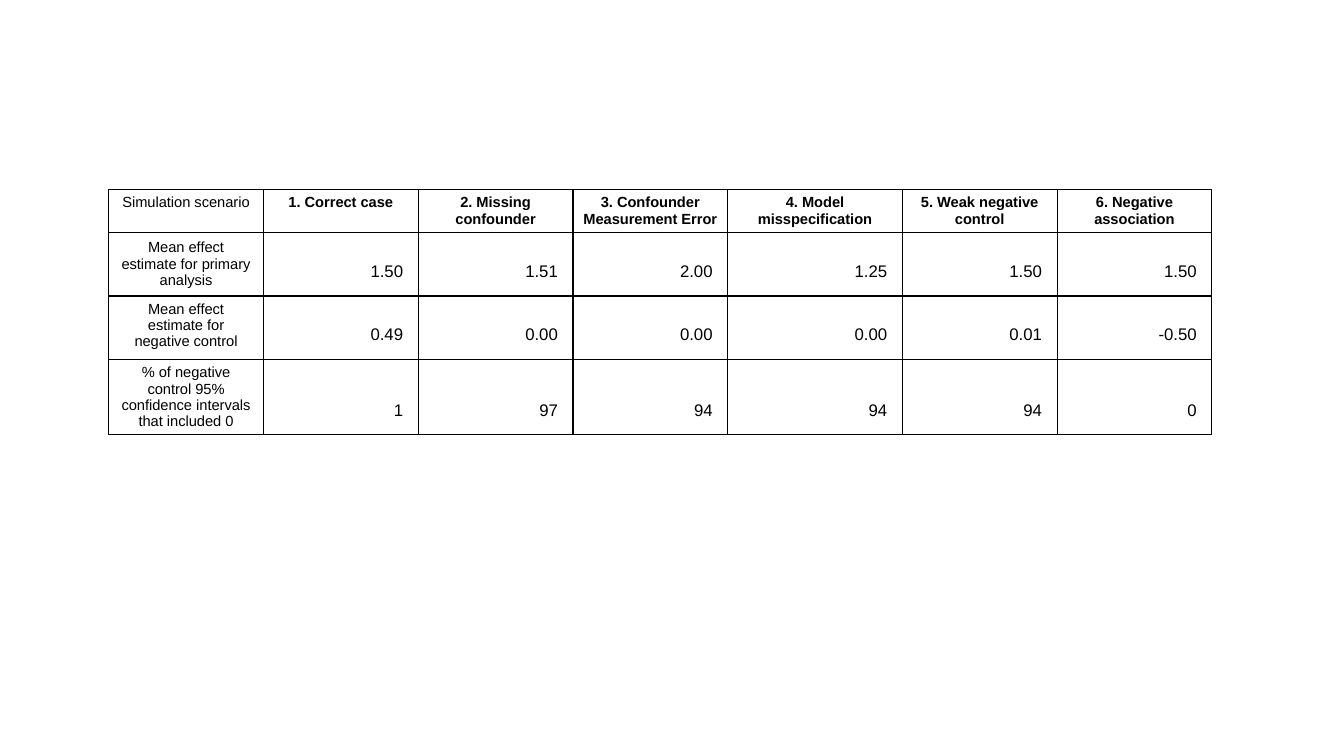
from lxml.etree import SubElement
from pptx import Presentation
from pptx.dml.color import RGBColor
from pptx.enum.text import MSO_ANCHOR, PP_ALIGN
from pptx.oxml.ns import qn
from pptx.util import Cm, Pt

# Content
ROWS = [
    ("Simulation scenario", "1. Correct case", "2. Missing confounder",
     "3. Confounder Measurement Error", "4. Model misspecification",
     "5. Weak negative control", "6. Negative association"),
    ("Mean effect estimate for primary analysis",
     "1.50", "1.51", "2.00", "1.25", "1.50", "1.50"),
    ("Mean effect estimate for negative control",
     "0.49", "0.00", "0.00", "0.00", "0.01", "-0.50"),
    ("% of negative control 95% confidence intervals that included 0",
     "1", "97", "94", "94", "94", "0"),
]
COLUMN_WIDTHS = [3.9, 3.9, 3.9, 3.9, 4.4, 3.9, 3.9]
ROW_HEIGHTS = [1, 1.6, 1.6, 1.6]
LEFT, TOP = 2.74, 4.78
VALUE_INSET = 0.38
BLACK = "000000"


def color(code):
    return RGBColor.from_string(code)


def add_borders(cell):
    properties = cell._tc.get_or_add_tcPr()
    for side in ("a:lnL", "a:lnR", "a:lnT", "a:lnB"):
        line = SubElement(properties, qn(side), w=str(Pt(1)))
        fill = SubElement(line, qn("a:solidFill"))
        SubElement(fill, qn("a:srgbClr"), val=BLACK)


def fill_cell(cell, text, row, column):
    is_value = row > 0 and column > 0
    cell.text_frame.text = text
    para = cell.text_frame.paragraphs[0]
    para.alignment = PP_ALIGN.RIGHT if is_value else PP_ALIGN.CENTER
    font = para.runs[0].font
    font.name = "Arial"
    font.size = Pt(12 if is_value else 10.5)
    font.bold = row == 0 and column > 0
    font.color.rgb = color(BLACK)
    if is_value:
        cell.vertical_anchor = MSO_ANCHOR.BOTTOM
        cell.margin_left = cell.margin_right = Cm(VALUE_INSET)
        cell.margin_top = cell.margin_bottom = Cm(VALUE_INSET)
    elif row == 1:
        cell.vertical_anchor = MSO_ANCHOR.MIDDLE
    add_borders(cell)
    cell.fill.background()


# Slide
deck = Presentation()
deck.slide_width, deck.slide_height = Cm(33.87), Cm(19.05)
page = deck.slides.add_slide(deck.slide_layouts[6])

# Results table
table = page.shapes.add_table(
    len(ROWS), len(COLUMN_WIDTHS), Cm(LEFT), Cm(TOP),
    Cm(sum(COLUMN_WIDTHS)), Cm(sum(ROW_HEIGHTS))).table
table.first_row = table.horz_banding = False
for column, width in zip(table.columns, COLUMN_WIDTHS):
    column.width = Cm(width)
for row, height in zip(table.rows, ROW_HEIGHTS):
    row.height = Cm(height)
for row_index, texts in enumerate(ROWS):
    for column_index, text in enumerate(texts):
        fill_cell(table.cell(row_index, column_index), text,
                  row_index, column_index)

deck.save("out.pptx")
